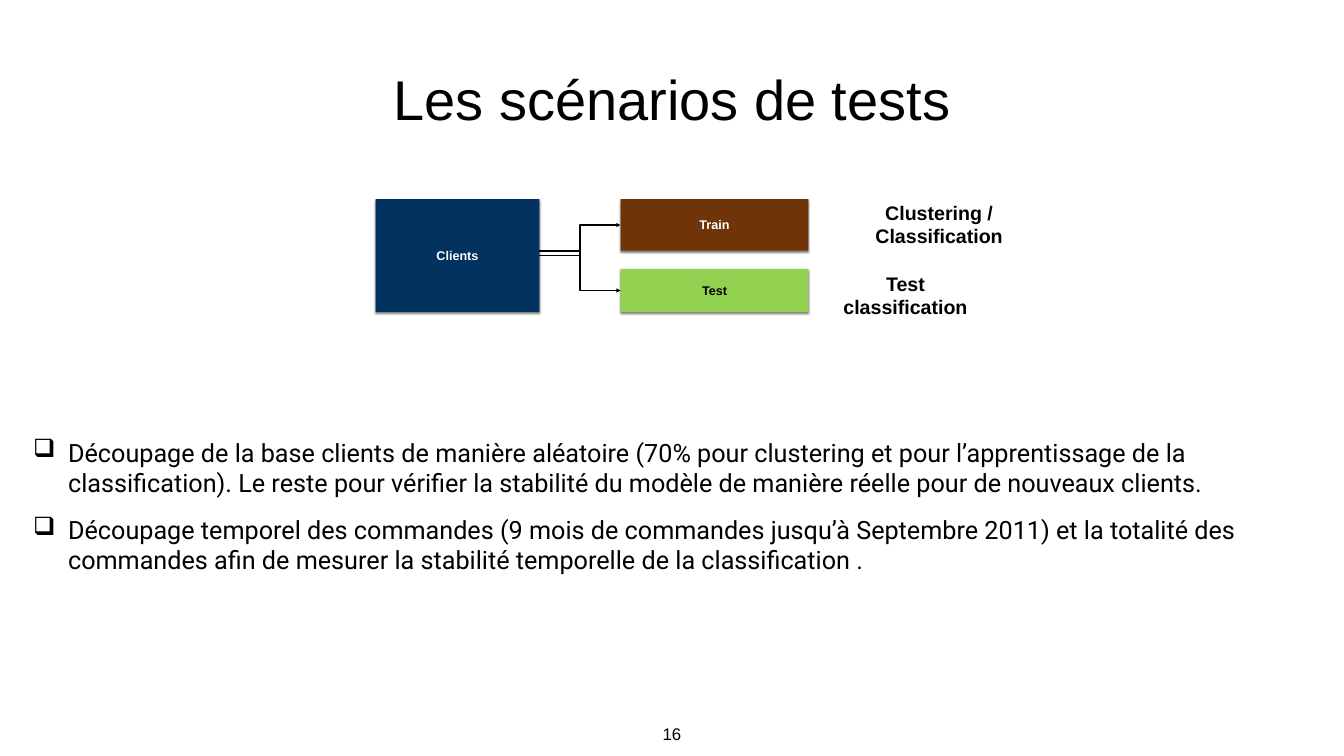
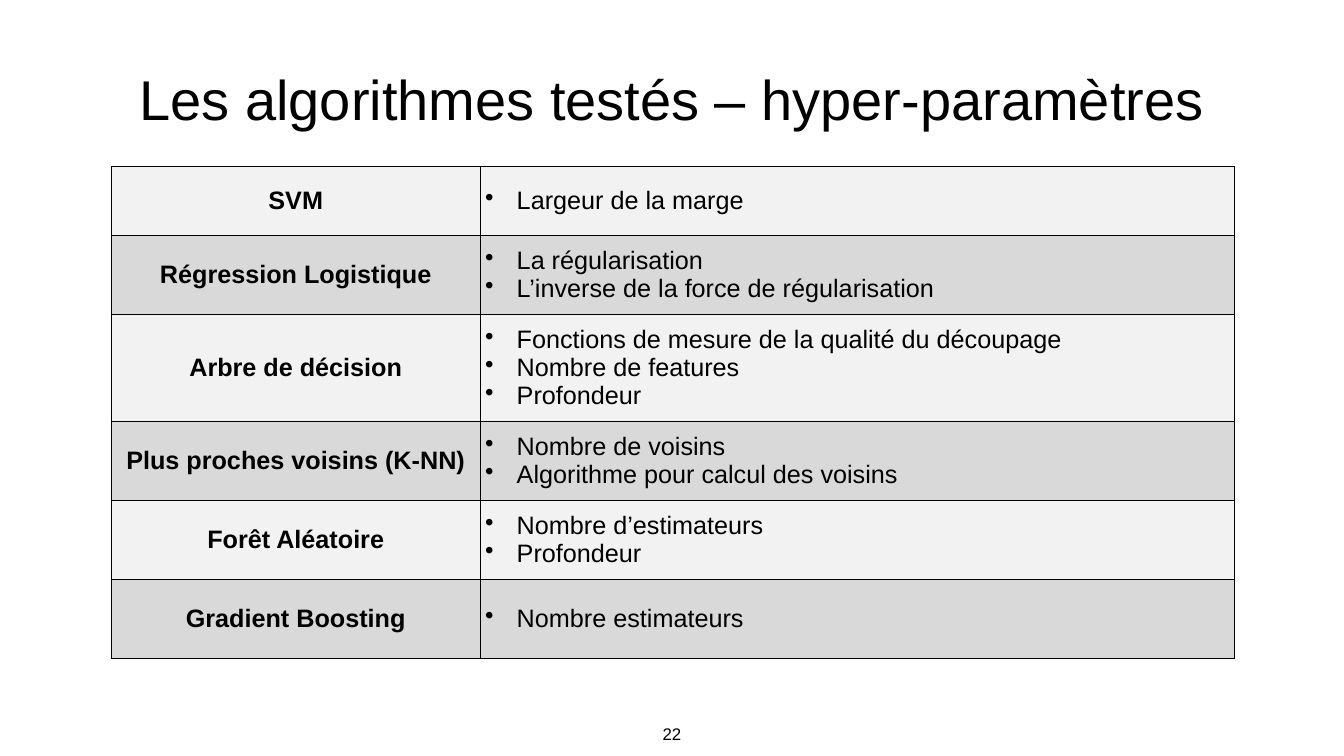
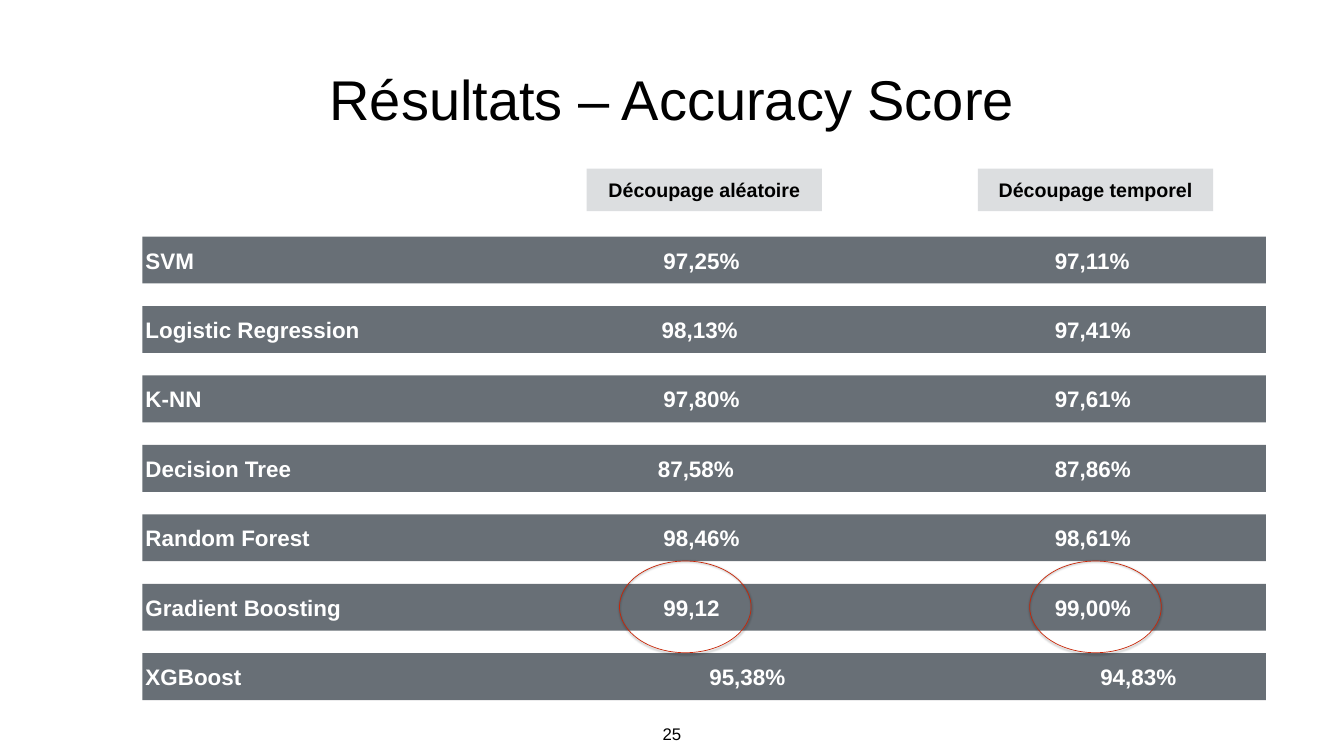
from dataclasses import dataclass

from lxml import etree
from pptx import Presentation
from pptx.dml.color import RGBColor
from pptx.enum import shapes, text
from pptx.oxml import ns
from pptx.util import Pt


@dataclass(frozen=True)
class Theme:
    font: str = "Arial"
    body_font: str = "Roboto"
    black: str = "000000"
    white: str = "FFFFFF"
    navy: str = "013260"
    brown: str = "6F3508"
    green: str = "92D050"
    slate: str = "686F76"
    silver: str = "DCDEE0"
    red: str = "C82506"
    row_fills: tuple = ("F2F2F2", "D9D9D9")
    title_size: int = 80
    body_size: int = 36
    score_size: int = 32
    label_size: int = 28
    number_size: int = 24
    block_size: int = 18
    inset: float = 4.3


THEME = Theme()
CENTER = text.PP_ALIGN.CENTER

# Content; boxes are left, top, width, height in points
SLIDE_SIZE = (1920, 1080)
TITLE_BOX = (133, 75, 1654, 130)
NUMBER_BOX = (942, 1030, 36, 37)

SCENARIOS = [
    "Découpage de la base clients de manière aléatoire (70% pour clustering et pour "
    "l’apprentissage de la classification). Le reste pour vérifier la stabilité du "
    "modèle de manière réelle pour de nouveaux clients.",
    "Découpage temporel des commandes (9 mois de commandes jusqu’à Septembre 2011) et "
    "la totalité des commandes afin de mesurer la stabilité temporelle de la "
    "classification .",
]
SCENARIO_BOX = (43, 365, 1853, 715)
BLOCKS = [
    ("Clients", (536.5, 284.5, 234, 161), THEME.navy, THEME.white),
    ("Train", (886.5, 284.5, 268.5, 73.5), THEME.brown, THEME.white),
    ("Test", (886.5, 384, 268.5, 62), THEME.green, THEME.black),
]
BLOCK_LABELS = [
    ("Clustering / Classification", (1177, 299, 329, 42)),
    ("Test classification", (1177, 401, 233, 42)),
]
SPLIT_ARROWS = [((770.5, 365), (886.5, 321.5)), ((770.5, 358.5), (886.5, 415))]

PARAMETERS = [
    ("SVM", ["Largeur de la marge"], 98),
    ("Régression Logistique",
     ["La régularisation", "L’inverse de la force de régularisation"], 113),
    ("Arbre de décision",
     ["Fonctions de mesure de la qualité du découpage", "Nombre de features",
      "Profondeur"], 152.5),
    ("Plus proches voisins (K-NN)",
     ["Nombre de voisins", "Algorithme pour calcul des voisins"], 113),
    ("Forêt Aléatoire", ["Nombre d’estimateurs", "Profondeur"], 113),
    ("Gradient Boosting", ["Nombre estimateurs"], 113),
]
TABLE_ORIGIN = (159, 238)
COLUMN_WIDTHS = (527, 1077)

# Each score row carries the tab stops of its two values
SCORES = [
    ("SVM", "97,25%", "97,11%", (740, 1299)),
    ("Logistic Regression", "98,13%", "97,41%", (737.5, 1299)),
    ("K-NN", "97,80%", "97,61%", (740, 1299)),
    ("Decision Tree", "87,58%", "87,86%", (732, 1299)),
    ("Random Forest", "98,46%", "98,61%", (740, 1299)),
    ("Gradient Boosting", "99,12", "99,00%", (740, 1299)),
    ("XGBoost", "95,38%", "94,83%", (805.5, 1364)),
]
BAR_FIRST, BAR_STEP = (203.5, 338, 1605, 67), 99.2
SCORE_HEADINGS = [("Découpage aléatoire", 838), ("Découpage temporel", 1397)]
BEST_SCORE_LEFTS = (885, 1471)


def points(values):
    return [Pt(value) for value in values]


def add_xml(parent, tag, **attributes):
    return etree.SubElement(parent, ns.qn(tag),
                            {key: str(value) for key, value in attributes.items()})


def write(frame, lines, *, size, color=THEME.black, font=THEME.font, bold=False,
          align=None, space=0, bullet=None, indent=0, tabs=()):
    """Fill a text frame with one paragraph per line."""
    for index, line in enumerate([lines] if isinstance(lines, str) else lines):
        paragraph = frame.add_paragraph() if index else frame.paragraphs[0]
        paragraph.alignment = align
        paragraph.space_before = paragraph.space_after = Pt(space)
        run = paragraph.add_run()
        run.text = line
        run.font.name, run.font.size, run.font.bold = font, Pt(size), bold
        run.font.color.rgb = RGBColor.from_string(color)
        properties = paragraph._p.get_or_add_pPr()
        if bullet:
            properties.set("marL", str(Pt(indent)))
            properties.set("indent", str(-Pt(indent)))
            add_xml(properties, "a:buChar", char=bullet)
        if tabs:
            stops = add_xml(properties, "a:tabLst")
            for tab in tabs:
                add_xml(stops, "a:tab", pos=Pt(tab), algn="l")


def set_frame(frame, wrap=True, anchor=text.MSO_ANCHOR.MIDDLE):
    frame.word_wrap, frame.vertical_anchor = wrap, anchor
    frame.auto_size = text.MSO_AUTO_SIZE.NONE
    frame.margin_left = frame.margin_right = Pt(THEME.inset)
    frame.margin_top = frame.margin_bottom = Pt(THEME.inset)
    return frame


def add_text(slide, lines, box, wrap=True, anchor=text.MSO_ANCHOR.MIDDLE, **style):
    shape = slide.shapes.add_textbox(*points(box))
    write(set_frame(shape.text_frame, wrap, anchor), lines, **style)


def add_shadow(shape):
    shape.shadow.inherit = False
    effects = shape._element.spPr.find(ns.qn("a:effectLst"))
    outer = add_xml(effects, "a:outerShdw", blurRad=Pt(3), dist=Pt(2),
                    dir=90 * 60000, rotWithShape=0)
    add_xml(add_xml(outer, "a:srgbClr", val=THEME.black), "a:alpha", val=50000)


def add_block(slide, label, box, fill, **style):
    shape = slide.shapes.add_shape(shapes.MSO_SHAPE.RECTANGLE, *points(box))
    shape.shadow.inherit = False
    shape.fill.solid()
    shape.fill.fore_color.rgb = RGBColor.from_string(fill)
    shape.line.fill.background()
    write(set_frame(shape.text_frame), label, bold=True, **style)
    return shape


def add_arrow(slide, start, end):
    arrow = slide.shapes.add_connector(shapes.MSO_CONNECTOR.ELBOW,
                                       *points(start + end))
    arrow.line.width = Pt(2)
    arrow.line.color.rgb = RGBColor.from_string(THEME.black)
    add_xml(arrow.line._get_or_add_ln(), "a:tailEnd", type="triangle")
    add_xml(arrow._element.spPr, "a:effectLst")


def fill_cell(cell, lines, fill, **style):
    cell.vertical_anchor = text.MSO_ANCHOR.MIDDLE
    write(cell.text_frame, lines, size=THEME.body_size, **style)
    properties = cell._tc.get_or_add_tcPr()
    for side in ("a:lnL", "a:lnR", "a:lnT", "a:lnB"):
        border = add_xml(properties, side, w=Pt(1))
        add_xml(add_xml(border, "a:solidFill"), "a:srgbClr", val=THEME.black)
    cell.fill.solid()
    cell.fill.fore_color.rgb = RGBColor.from_string(fill)


def add_slide(presentation, title, number):
    slide = presentation.slides.add_slide(presentation.slide_layouts[5])
    heading = slide.shapes.title
    heading.left, heading.top, heading.width, heading.height = points(TITLE_BOX)
    write(set_frame(heading.text_frame), title, size=THEME.title_size, align=CENTER)
    add_text(slide, str(number), NUMBER_BOX, wrap=False, anchor=text.MSO_ANCHOR.TOP,
             size=THEME.number_size, align=CENTER)
    return slide


def build_scenarios(presentation):
    slide = add_slide(presentation, "Les scénarios de tests", 16)
    add_text(slide, SCENARIOS, SCENARIO_BOX, size=THEME.body_size,
             font=THEME.body_font, space=12, bullet="❑", indent=50)
    for label, box, fill, color in BLOCKS:
        add_shadow(add_block(slide, label, box, fill, color=color,
                             size=THEME.block_size, align=CENTER))
    for label, box in BLOCK_LABELS:
        add_text(slide, label, box, size=THEME.label_size, bold=True, align=CENTER)
    for start, end in SPLIT_ARROWS:
        add_arrow(slide, start, end)


def build_parameters(presentation):
    slide = add_slide(presentation, "Les algorithmes testés – hyper-paramètres", 22)
    heights = [height for _, _, height in PARAMETERS]
    box = (*TABLE_ORIGIN, sum(COLUMN_WIDTHS), sum(heights))
    table = slide.shapes.add_table(len(PARAMETERS), len(COLUMN_WIDTHS),
                                   *points(box)).table
    table.first_row = table.horz_banding = False
    for column, width in zip(table.columns, COLUMN_WIDTHS):
        column.width = Pt(width)
    for index, (algorithm, settings, height) in enumerate(PARAMETERS):
        table.rows[index].height = Pt(height)
        fill = THEME.row_fills[index % 2]
        fill_cell(table.cell(index, 0), algorithm, fill, bold=True, align=CENTER)
        fill_cell(table.cell(index, 1), settings, fill, bullet="•", indent=45)


def build_scores(presentation):
    slide = add_slide(presentation, "Résultats – Accuracy Score", 25)
    left, top, width, height = BAR_FIRST
    for index, (*row, tabs) in enumerate(SCORES):
        add_block(slide, "\t".join(row), (left, top + index * BAR_STEP, width, height),
                  THEME.slate, color=THEME.white, size=THEME.score_size,
                  align=text.PP_ALIGN.LEFT, tabs=tabs)
    for heading, heading_left in SCORE_HEADINGS:
        add_block(slide, heading, (heading_left, 241, 336, 60.5), THEME.silver,
                  size=THEME.label_size, align=CENTER)
    # Rings around the best scores
    for ring_left in BEST_SCORE_LEFTS:
        ring = slide.shapes.add_shape(shapes.MSO_SHAPE.OVAL,
                                      *points((ring_left, 801.5, 188, 131)))
        ring.fill.background()
        ring.line.width = Pt(1)
        ring.line.color.rgb = RGBColor.from_string(THEME.red)
        add_shadow(ring)


def main():
    presentation = Presentation()
    presentation.slide_width, presentation.slide_height = points(SLIDE_SIZE)
    build_scenarios(presentation)
    build_parameters(presentation)
    build_scores(presentation)
    presentation.save("out.pptx")


if __name__ == "__main__":
    main()
